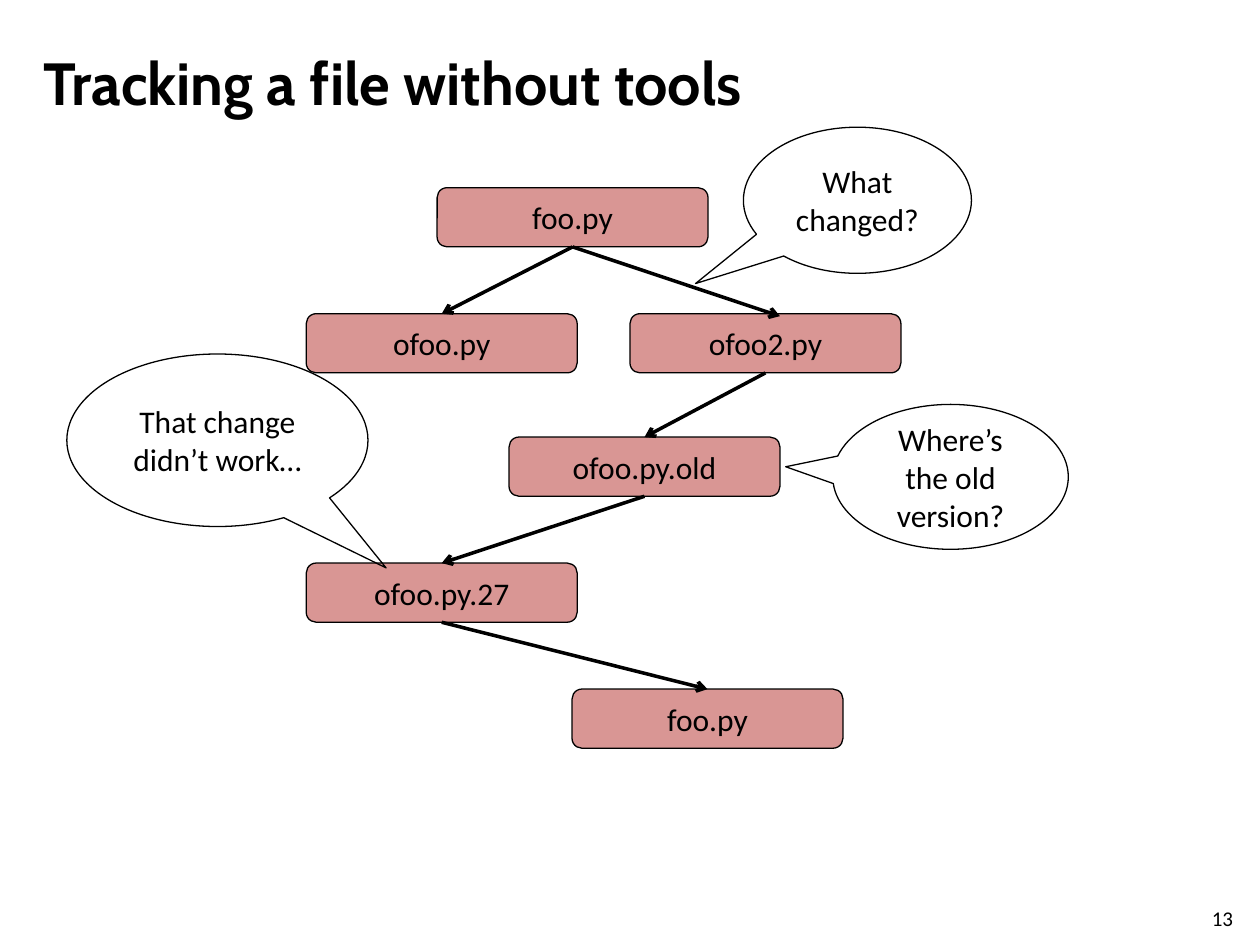
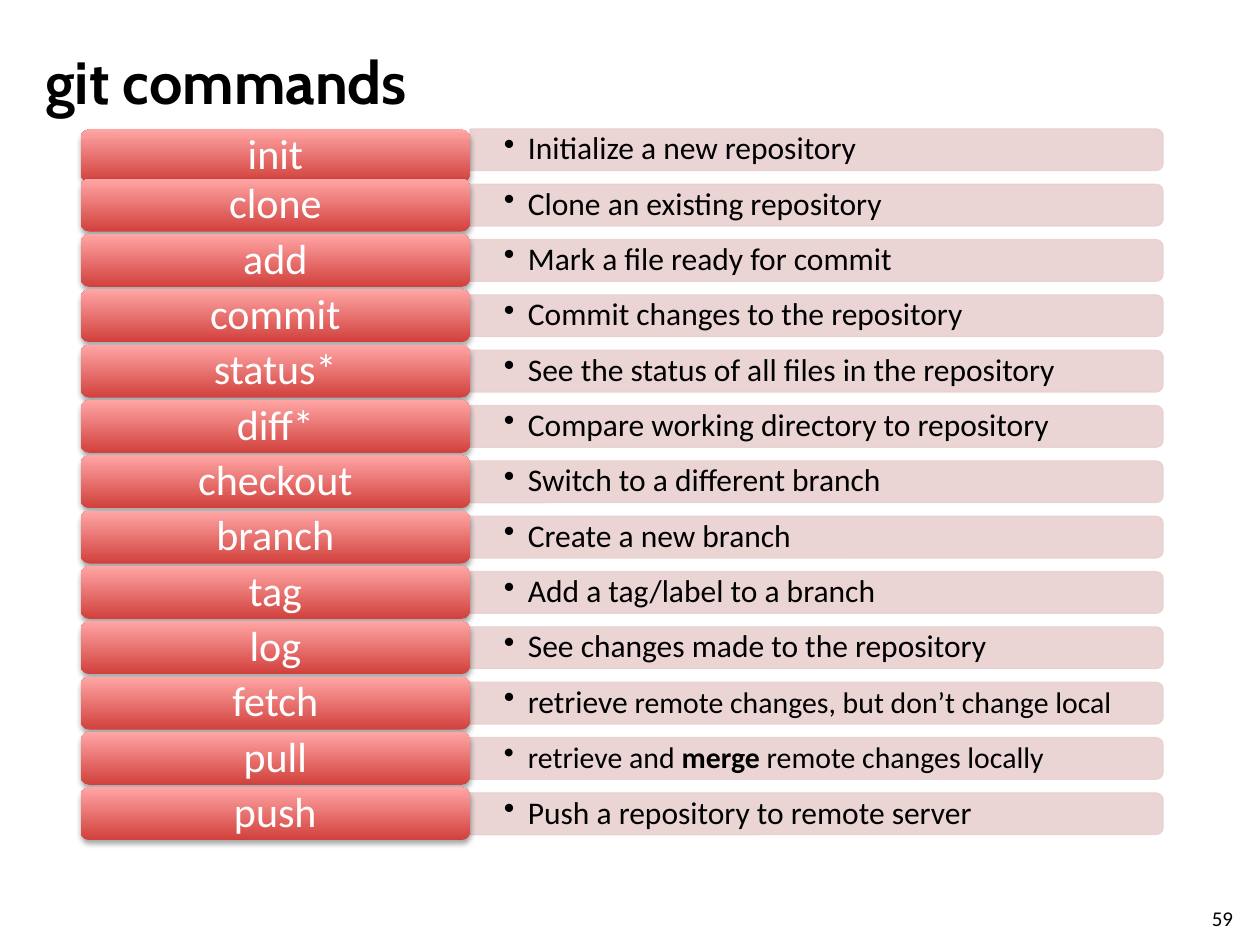
from lxml.etree import SubElement
from pptx import Presentation
from pptx.dml.color import RGBColor
from pptx.enum.shapes import MSO_CONNECTOR, MSO_SHAPE
from pptx.enum.text import MSO_ANCHOR, PP_ALIGN
from pptx.oxml.ns import qn
from pptx.util import Pt

BLACK, WHITE = "000000", "FFFFFF"
FILE_FILL, BAND_FILL = "D99694", "E8D0D0"
LABEL_GRADIENT = ("D1403C", "FFA6A5")
TITLE_FONT, BODY_FONT = "Cabin", "Calibri"

TRACKING = {"title": "Tracking a file without tools", "at": (18, 21.6), "number": "13"}
COMMANDS = {"title": "git commands", "at": (18.7, 20.9), "number": "59"}

FILE_SIZE = (154.8, 33.8)
FILES = {
    "start": ("foo.py", 249.8, 107.3),
    "first copy": ("ofoo.py", 175, 179.3),
    "old": ("ofoo.py.old", 290.9, 249.8),
    "numbered": ("ofoo.py.27", 175, 321.8),
    "end": ("foo.py", 326.9, 393.8),
    "second copy": ("ofoo2.py", 360, 179.3),
}
JOINED_STEPS = [
    ("start", "first copy"),
    ("second copy", "old"),
    ("old", "numbered"),
    ("numbered", "end"),
]
LOOSE_STEP = ("start", (445.7, 180.7))
CALLOUTS = [
    ("What changed?", (424.8, 72.7, 130.3, 83.5), (-0.71, 0.57)),
    ("Where’s the old version?", (475.9, 231.1, 134.6, 82.8), (-0.7, -0.07)),
    ("That change didn’t work…", (38.2, 202.3, 172.1, 98.6), (0.56, 0.74)),
]

GIT_ROWS = [
    ("init", "Initialize a new repository"),
    ("clone", "Clone an existing repository"),
    ("add", "Mark a file ready for commit"),
    ("commit", "Commit changes to the repository"),
    ("status*", "See the status of all files in the repository"),
    ("diff*", "Compare working directory to repository"),
    ("checkout", "Switch to a different branch"),
    ("branch", "Create a new branch"),
    ("tag", "Add a tag/label to a branch"),
    ("log", "See changes made to the repository"),
    ("fetch", [("retrieve", {}),
               (" remote changes, but don’t change local", {"size": 17})]),
    ("pull", [("retrieve and ", {"size": 17}),
              ("merge", {"size": 17, "bold": True}),
              (" remote changes locally", {"size": 17})]),
    ("push", "Push a repository to remote server"),
]
FIRST_MIDDLE, ROW_PITCH = 85.6, 31.62
LABEL_LEFT, LABEL_WIDTH, LABEL_HEIGHT = 46.1, 222.5, 30.2
FIRST_LABEL_DROP = 3.5
BAND_LEFT, BAND_WIDTH, BAND_HEIGHT = 268.6, 396, 23.8


def color(value):
    return RGBColor.from_string(value)


def points(*values):
    return [Pt(value) for value in values]


def write(shape, content, size=18, font=BODY_FONT, ink=BLACK, bold=False,
          align=PP_ALIGN.LEFT, anchor=MSO_ANCHOR.MIDDLE, insets=(7.2, 3.6),
          spacing=None, bullet_indent=None):
    frame = shape.text_frame
    frame.word_wrap = True
    frame.vertical_anchor = anchor
    frame.margin_left = frame.margin_right = Pt(insets[0])
    frame.margin_top = frame.margin_bottom = Pt(insets[1])
    paragraph = frame.paragraphs[0]
    if bullet_indent:
        properties = paragraph._p.get_or_add_pPr()
        properties.set("marL", str(Pt(bullet_indent)))
        properties.set("indent", str(-Pt(bullet_indent)))
        SubElement(properties, qn("a:buChar"), char="•")
    paragraph.alignment = align
    if spacing:
        paragraph.line_spacing = spacing
    spans = [(content, {})] if isinstance(content, str) else content
    for text, changes in spans:
        span = paragraph.add_run()
        span.text = text
        span.font.name = font
        span.font.size = Pt(changes.get("size", size))
        span.font.bold = changes.get("bold", bold)
        span.font.color.rgb = color(ink)


def add_text(page, place, content, **style):
    box = page.shapes.add_textbox(*points(*place))
    write(box, content, **style)


def add_box(page, kind, place, fill=None, line=None):
    box = page.shapes.add_shape(kind, *points(*place))
    box.shadow.inherit = False
    if fill:
        box.fill.solid()
        box.fill.fore_color.rgb = color(fill)
    else:
        box.fill.background()
    if line:
        box.line.color.rgb = color(line)
        box.line.width = Pt(0.75)
    else:
        box.line.fill.background()
    return box


def add_page(deck, heading):
    page = deck.slides.add_slide(deck.slide_layouts[6])
    add_text(page, (*heading["at"], 624.2, 50.4), heading["title"],
             size=34, font=TITLE_FONT, bold=True)
    add_text(page, (685.4, 514.1, 28.8, 17.3), heading["number"],
             size=12, anchor=MSO_ANCHOR.TOP)
    return page


def add_arrow(page, source, target=None, end=(0, 0)):
    arrow = page.shapes.add_connector(MSO_CONNECTOR.STRAIGHT, 0, 0, *points(*end))
    arrow.begin_connect(source, 2)
    if target is not None:
        arrow.end_connect(target, 0)
    arrow.line.color.rgb = color(BLACK)
    arrow.line.width = Pt(2)
    SubElement(arrow.line._get_or_add_ln(), qn("a:tailEnd"), type="arrow")
    SubElement(arrow._element.spPr, qn("a:effectLst"))


def build_tracking(deck):
    page = add_page(deck, TRACKING)
    boxes = {}
    for key, (name, left, top) in FILES.items():
        boxes[key] = add_box(page, MSO_SHAPE.ROUNDED_RECTANGLE,
                             (left, top, *FILE_SIZE), FILE_FILL, BLACK)
        write(boxes[key], name, align=PP_ALIGN.CENTER)
    for source, target in JOINED_STEPS:
        add_arrow(page, boxes[source], boxes[target])
    source, end = LOOSE_STEP
    add_arrow(page, boxes[source], end=end)
    for words, place, tip in CALLOUTS:
        callout = add_box(page, MSO_SHAPE.OVAL_CALLOUT, place, line=BLACK)
        callout.adjustments[0], callout.adjustments[1] = tip
        write(callout, words, align=PP_ALIGN.CENTER)


def add_band(page, middle, description):
    place = (BAND_LEFT + (BAND_WIDTH - BAND_HEIGHT) / 2, middle - BAND_WIDTH / 2,
             BAND_HEIGHT, BAND_WIDTH)
    band = add_box(page, MSO_SHAPE.ROUND_2_SAME_RECTANGLE, place, BAND_FILL, BAND_FILL)
    band.rotation = 90
    for tint in band._element.spPr.iter(qn("a:srgbClr")):
        SubElement(tint, qn("a:alpha"), val="90000")
    add_text(page, (BAND_LEFT, middle - BAND_HEIGHT / 2, BAND_WIDTH, BAND_HEIGHT),
             description, insets=(19.4, 0), spacing=0.9, bullet_indent=13.7)


def add_label(page, top, command):
    label = add_box(page, MSO_SHAPE.ROUNDED_RECTANGLE,
                    (LABEL_LEFT, top, LABEL_WIDTH, LABEL_HEIGHT))
    label.fill.gradient()
    label.fill.gradient_angle = 90
    for stop, tint in zip(label.fill.gradient_stops, LABEL_GRADIENT):
        stop.color.rgb = color(tint)
    effects = label._element.spPr.find(qn("a:effectLst"))
    shadow = SubElement(effects, qn("a:outerShdw"), blurRad=str(Pt(3.1)),
                        dist=str(Pt(1.8)), dir="5400000", rotWithShape="0")
    tint = SubElement(shadow, qn("a:srgbClr"), val=BLACK)
    SubElement(tint, qn("a:alpha"), val="35000")
    write(label, command, size=24, ink=WHITE, align=PP_ALIGN.CENTER,
          insets=(1.5, 0), spacing=0.9)


def build_commands(deck):
    page = add_page(deck, COMMANDS)
    for index, (command, description) in enumerate(GIT_ROWS):
        middle = FIRST_MIDDLE + index * ROW_PITCH
        drop = FIRST_LABEL_DROP if index == 0 else 0
        add_band(page, middle, description)
        add_label(page, middle - LABEL_HEIGHT / 2 + drop, command)


def main():
    deck = Presentation()
    deck.slide_width, deck.slide_height = points(720, 540)
    build_tracking(deck)
    build_commands(deck)
    deck.save("out.pptx")


if __name__ == "__main__":
    main()
